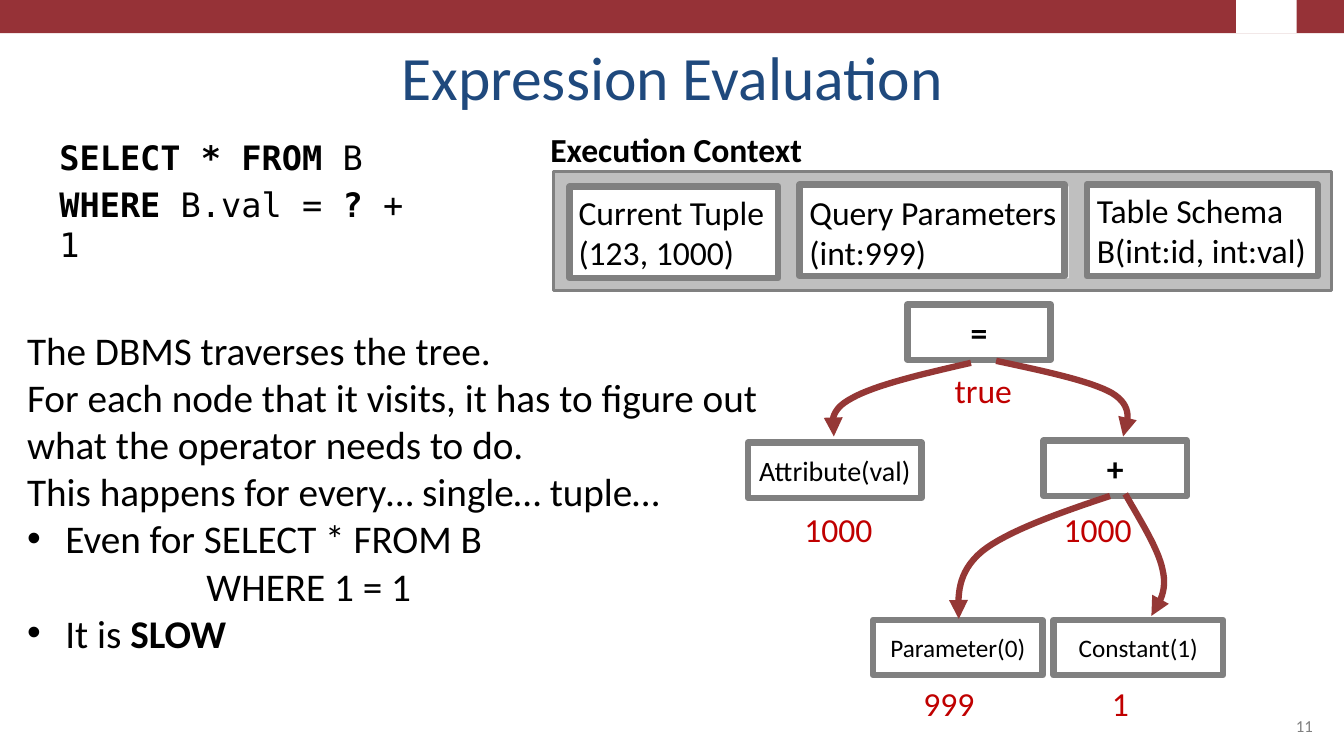
from dataclasses import dataclass

from lxml.etree import SubElement
from pptx import Presentation
from pptx.dml.color import RGBColor
from pptx.enum.shapes import MSO_SHAPE
from pptx.enum.text import MSO_ANCHOR, PP_ALIGN
from pptx.oxml.ns import qn
from pptx.shapes.base import BaseShape
from pptx.util import Inches, Pt


@dataclass(frozen=True)
class Theme:
    sans: str = "Calibri"
    mono: str = "DejaVu Sans Mono"
    ink: str = "000000"
    paper: str = "FFFFFF"
    title: str = "1F497D"
    banner: str = "963237"
    grey: str = "808080"
    context: str = "BFBFBF"
    edge: str = "953735"
    result: str = "C00000"
    title_size: float = 44
    prose_size: float = 28
    text_size: float = 24
    leaf_size: float = 20
    small_leaf_size: float = 18
    number_size: float = 12
    thick: float = 4.5
    thin: float = 2


THEME = Theme()
Box = tuple[float, float, float, float]
Point = tuple[float, float]


@dataclass(frozen=True)
class Style:
    size: float = THEME.text_size
    color: str = THEME.ink
    font: str = THEME.sans
    bold: bool = False
    align: PP_ALIGN = PP_ALIGN.LEFT
    anchor: MSO_ANCHOR = MSO_ANCHOR.TOP
    wrap: bool = False
    space_before: float = 0


@dataclass(frozen=True)
class Para:
    """Runs are (text, bold) pairs; a newline in a run is a line break."""
    runs: tuple[tuple[str, bool], ...]
    indent: float = 0
    bullet: bool = False


@dataclass(frozen=True)
class Panel:
    fill_box: Box
    frame_box: Box
    text: str


@dataclass(frozen=True)
class Node:
    box: Box
    text: str
    size: float
    bold: bool
    result: str
    result_box: Box


@dataclass(frozen=True)
class Edge:
    """Chained cubic curves: a start, then three points per curve."""
    start: Point
    curves: tuple[tuple[Point, Point, Point], ...]


prs = Presentation()
prs.slide_width, prs.slide_height = Inches(13.33), Inches(7.5)
slide = prs.slides.add_slide(prs.slide_layouts[6])


def outline(shape: BaseShape, color: str, width: float) -> None:
    shape.line.color.rgb = RGBColor.from_string(color)
    shape.line.width = Pt(width)
    SubElement(shape.line._get_or_add_ln(), qn("a:round"))


def add_rect(box: Box, fill: str = "", line: str = "", width: float = THEME.thick) -> BaseShape:
    rect = slide.shapes.add_shape(MSO_SHAPE.RECTANGLE, *map(Inches, box))
    rect.shadow.inherit = False
    if fill:
        rect.fill.solid()
        rect.fill.fore_color.rgb = RGBColor.from_string(fill)
    else:
        rect.fill.background()
    if line:
        outline(rect, line, width)
    else:
        rect.line.fill.background()
    return rect


def write(shape: BaseShape, paras: list[Para], style: Style) -> None:
    frame = shape.text_frame
    frame.word_wrap, frame.vertical_anchor = style.wrap, style.anchor
    for index, para in enumerate(paras):
        paragraph = frame.paragraphs[0] if index == 0 else frame.add_paragraph()
        paragraph.alignment = style.align
        if index and style.space_before:
            paragraph.space_before = Pt(style.space_before)
        if para.indent:
            properties = paragraph._p.get_or_add_pPr()
            properties.set("marL", str(Inches(para.indent)))
            if para.bullet:
                properties.set("indent", str(-Inches(para.indent)))
                SubElement(properties, qn("a:buFont"), typeface="Arial")
                SubElement(properties, qn("a:buChar"), char="•")
        for text, bold in para.runs:
            for number, line in enumerate(text.split("\n")):
                if number:
                    paragraph.add_line_break()
                run = paragraph.add_run()
                run.text = line
                run.font.name, run.font.size = style.font, Pt(style.size)
                run.font.bold = bold
                run.font.color.rgb = RGBColor.from_string(style.color)


def add_text(box: Box, paras: list[Para], style: Style) -> None:
    write(slide.shapes.add_textbox(*map(Inches, box)), paras, style)


def plain(text: str, bold: bool = False) -> list[Para]:
    return [Para(((text, bold),))]


def add_edge(edge: Edge, steps: int = 16) -> None:
    points, start = [], edge.start
    for first, second, end in edge.curves:
        for step in range(1, steps + 1):
            t = step / steps
            weights = ((1 - t) ** 3, 3 * t * (1 - t) ** 2, 3 * t * t * (1 - t), t ** 3)
            corners = (start, first, second, end)
            points.append(tuple(Inches(sum(w * c[axis] for w, c in zip(weights, corners)))
                                for axis in (0, 1)))
        start = end
    builder = slide.shapes.build_freeform(*map(Inches, edge.start))
    builder.add_line_segments(points, close=False)
    curve = builder.convert_to_shape()
    curve.shadow.inherit = False
    curve.fill.background()
    outline(curve, THEME.edge, THEME.thick)
    SubElement(curve.line._get_or_add_ln(), qn("a:tailEnd"), type="triangle")


PANELS = [
    Panel((7.93, 1.85, 2.67, 0.91), (7.93, 1.83, 2.63, 0.91), "Query Parameters\n(int:999)"),
    Panel((10.78, 1.83, 2.29, 0.91), (10.78, 1.83, 2.29, 0.91), "Table Schema\nB(int:id, int:val)"),
    Panel((5.64, 1.85, 2.06, 0.91), (5.65, 1.85, 2.07, 0.91), "Current Tuple\n(123, 1000)"),
]
NODES = [
    Node((9, 3.02, 1.42, 0.55), "=", THEME.text_size, True, "true", (9.37, 3.62, 0.78, 0.5)),
    Node((10.35, 4.37, 1.42, 0.55), "+", THEME.text_size, True, "1000", (10.45, 5, 0.88, 0.5)),
    Node((7.42, 4.39, 1.72, 0.55), "Attribute(val)", THEME.leaf_size, False,
         "1000", (7.88, 5, 0.88, 0.5)),
    Node((8.66, 6.15, 1.68, 0.55), "Parameter(0)", THEME.small_leaf_size, False,
         "999", (9.06, 6.73, 0.71, 0.5)),
    Node((10.45, 6.15, 1.68, 0.55), "Constant(1)", THEME.small_leaf_size, False,
         "1", (10.93, 6.73, 0.37, 0.5)),
]
EDGES = [
    Edge((9.88, 3.58), (((10.35, 3.68), (10.82, 3.78), (11.03, 3.9)),
                        ((11.24, 4.03), (11.19, 4.18), (11.14, 4.33)))),
    Edge((11.01, 4.92), (((10.5, 5.09), (9.99, 5.27), (9.74, 5.47)),
                         ((9.49, 5.68), (9.5, 5.91), (9.51, 6.14)))),
    Edge((11.16, 4.9), (((11.32, 5.18), (11.49, 5.45), (11.53, 5.65)),
                        ((11.58, 5.86), (11.5, 5.98), (11.42, 6.11)))),
    Edge((9.63, 3.6), (((9.15, 3.71), (8.68, 3.82), (8.45, 3.95)),
                       ((8.22, 4.07), (8.25, 4.2), (8.27, 4.33)))),
]
QUERY = [Para((("SELECT * FROM ", True), ("B", False))),
         Para((("WHERE ", True), ("B.val = ", False), ("? ", True), ("+ 1", False)))]
EXPLANATION = [
    *plain("The DBMS traverses the tree.\nFor each node that it visits, it has to figure out\n"
           "what the operator needs to do."),
    *plain("This happens for every… single… tuple…"),
    Para((("Even for SELECT * FROM B", False),), 0.38, True),
    Para((("WHERE 1 = 1", False),), 1.78),
    Para((("It is ", False), ("SLOW", True)), 0.38, True),
]

# Banner with a plain block at its right end
add_rect((0, 0, 13.33, 0.33), THEME.banner)
add_rect((12.26, 0, 0.6, 0.33), THEME.paper)

# Title, query and page number
add_text((0.67, 0.3, 12, 0.87), plain("Expression Evaluation"),
         Style(THEME.title_size, THEME.title, align=PP_ALIGN.CENTER,
               anchor=MSO_ANCHOR.BOTTOM, wrap=True))
add_text((0.49, 1.31, 3.79, 1.05), QUERY, Style(font=THEME.mono, wrap=True, space_before=4.8))
add_text((9.56, 6.83, 3.56, 0.52), plain("11"),
         Style(THEME.number_size, THEME.grey, align=PP_ALIGN.RIGHT,
               anchor=MSO_ANCHOR.BOTTOM, wrap=True))

# Execution context
add_text((5.36, 1.23, 2.73, 0.5), plain("Execution Context", True), Style())
add_rect((5.49, 1.7, 7.72, 1.18), THEME.context, THEME.grey, THEME.thin)
for panel in PANELS:
    write(add_rect(panel.fill_box, THEME.paper), plain(panel.text), Style())
    add_rect(panel.frame_box, line=THEME.grey)

# Expression tree
for node in NODES:
    write(add_rect(node.box, line=THEME.grey), plain(node.text, node.bold),
          Style(node.size, align=PP_ALIGN.CENTER, anchor=MSO_ANCHOR.MIDDLE))
for edge in EDGES:
    add_edge(edge)
for node in NODES:
    add_text(node.result_box, plain(node.result), Style(color=THEME.result))

# Explanation
add_text((0.17, 3.19, 7.53, 3.4), EXPLANATION, Style(THEME.prose_size))

prs.save("out.pptx")
